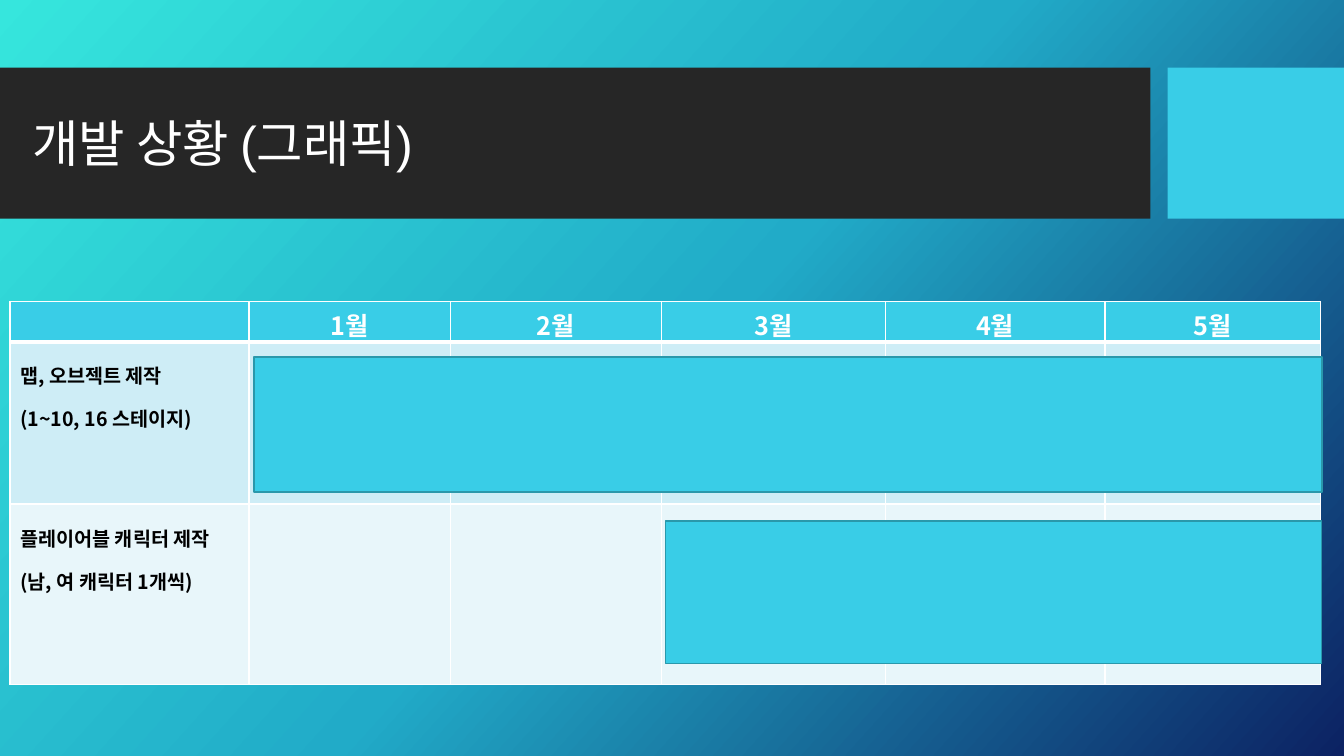
from copy import deepcopy
from lxml.etree import SubElement as Sub
from pptx import Presentation
from pptx.dml.color import RGBColor
from pptx.enum.shapes import MSO_SHAPE as Shape
from pptx.enum.text import MSO_ANCHOR as Anchor, PP_ALIGN as Align
from pptx.oxml.ns import qn
from pptx.util import Inches, Pt


def paint(fill, color):
    fill.solid()
    fill.fore_color.rgb = RGBColor.from_string(color)


def write(para, text, size, face, color, bold=False):
    run = para.add_run()
    run.text = text
    font = run.font
    font.size, font.name, font.bold = Pt(size), face, bold
    paint(font.fill, color)
    Sub(run._r.get_or_add_rPr(), qn("a:ea")).set("typeface", "Noto Sans CJK KR")


deck = Presentation()
deck.slide_width, deck.slide_height = Inches(13.33), Inches(7.5)
slide = deck.slides.add_slide(deck.slide_layouts[6])

back = slide.background.fill
back.gradient()
back.gradient_angle = 360 - 42
stops = slide._element.find(".//" + qn("a:gsLst"))
stops.append(deepcopy(stops[-1]))
for stop, place, color in zip(back.gradient_stops, [0, 0.5, 1], ["36E6DD", "21ABC8", "0C2263"]):
    stop.position = place
    stop.color.rgb = RGBColor.from_string(color)

title = slide.shapes.add_textbox(Inches(0.22), Inches(0.86), Inches(7.14), Inches(1.18))
frame = title.text_frame
frame.word_wrap = True
frame.vertical_anchor = Anchor.MIDDLE
frame.paragraphs[0].line_spacing = 0.9
write(frame.paragraphs[0], "개발 상황 (그래픽)", 36, "Arial", "FFFFFF")

rows = [
    (0.37, "39CDE7", 3, [[], ["1월"], ["2월"], ["3월"], ["4월"], ["5월"]]),
    (1.61, "CEEDF6", 1, [["맵, 오브젝트 제작", "(1~10, 16 스테이지)"]] + [[]] * 5),
    (1.79, "E8F6FA", 1, [["플레이어블 캐릭터 제작", "(남, 여 캐릭터 1개씩)"]] + [[]] * 5),
]
table = slide.shapes.add_table(3, 6, Inches(0.1), Inches(2.99), Inches(13), Inches(3.77)).table
for col, width in zip(table.columns, [2.37, 2, 2.09, 2.22, 2.18, 2.14]):
    col.width = Inches(width)
for i, (height, shade, base, cells) in enumerate(rows):
    table.rows[i].height = Inches(height)
    for j, lines in enumerate(cells):
        cell = table.cell(i, j)
        props = cell._tc.get_or_add_tcPr()
        top = rows[i - 1][2] if i else 1
        for side, weight in zip("LRTB", [1, 1, top, base]):
            edge = Sub(props, qn("a:ln" + side), w=str(Pt(weight)))
            Sub(Sub(edge, qn("a:solidFill")), qn("a:srgbClr"), val="FFFFFF")
        paint(cell.fill, shade)
        for n, line in enumerate(lines):
            frame = cell.text_frame
            para = frame.add_paragraph() if n else frame.paragraphs[0]
            if i:
                para.line_spacing = 1.5
                write(para, line, 14, "Noto Sans CJK KR", "000000", True)
            else:
                para.alignment = Align.CENTER
                write(para, line, 18, "Noto Sans CJK KR", "FFFFFF", True)

blocks = [
    (0, 0.67, 11.41, 1.5, "262626", None),
    (11.58, 0.67, 1.75, 1.5, "39CDE7", None),
    (2.52, 3.54, 10.59, 1.34, "39CDE7", "2A98AB"),
    (6.6, 5.17, 6.51, 1.41, "39CDE7", "2A98AB"),
]
for *box, color, rim in blocks:
    bar = slide.shapes.add_shape(Shape.RECTANGLE, *map(Inches, box))
    bar.shadow.inherit = False
    paint(bar.fill, color)
    if rim:
        paint(bar.line.fill, rim)
        bar.line.width = Pt(1)
    else:
        bar.line.fill.background()
        title._element.addprevious(bar._element)

deck.save("out.pptx")
